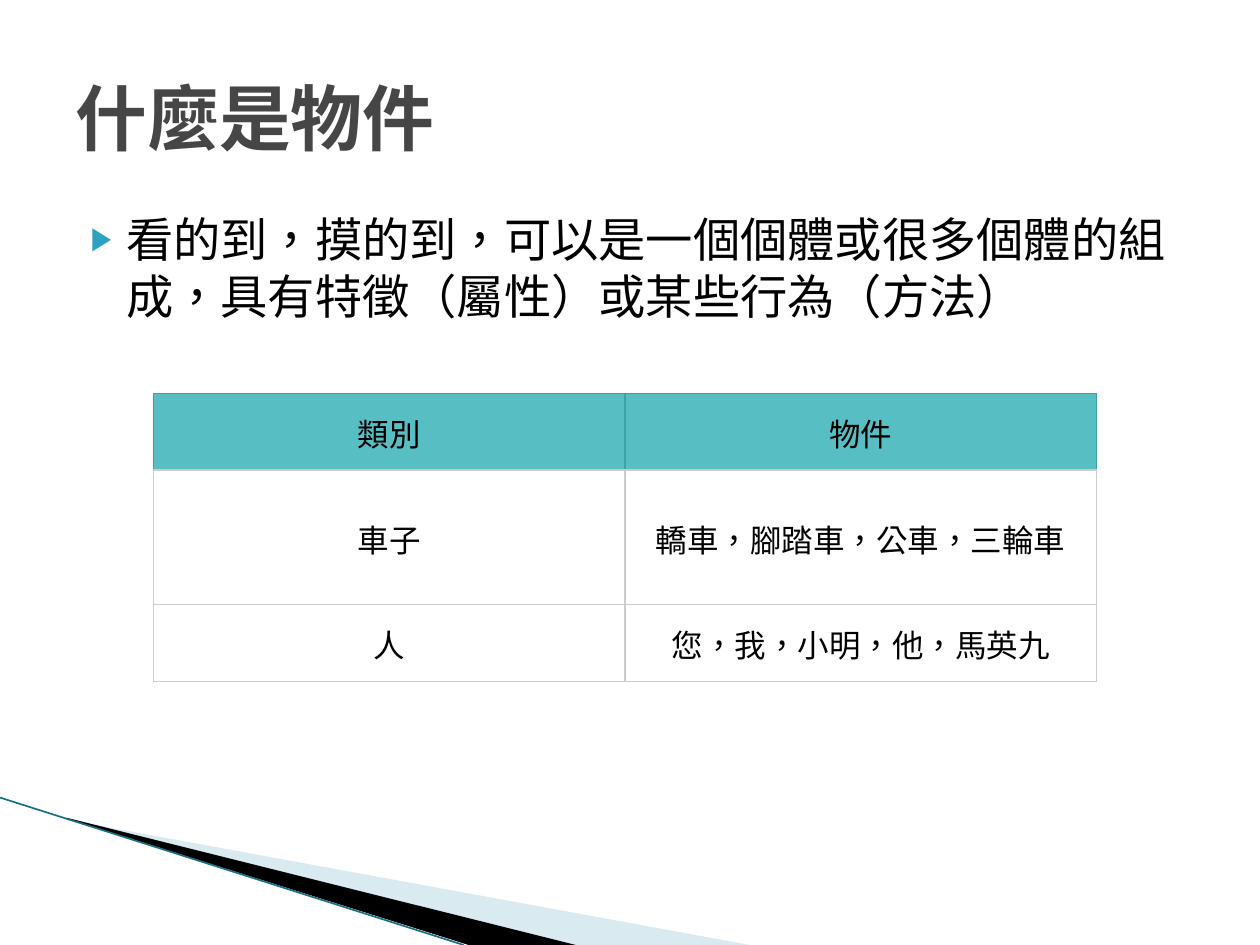
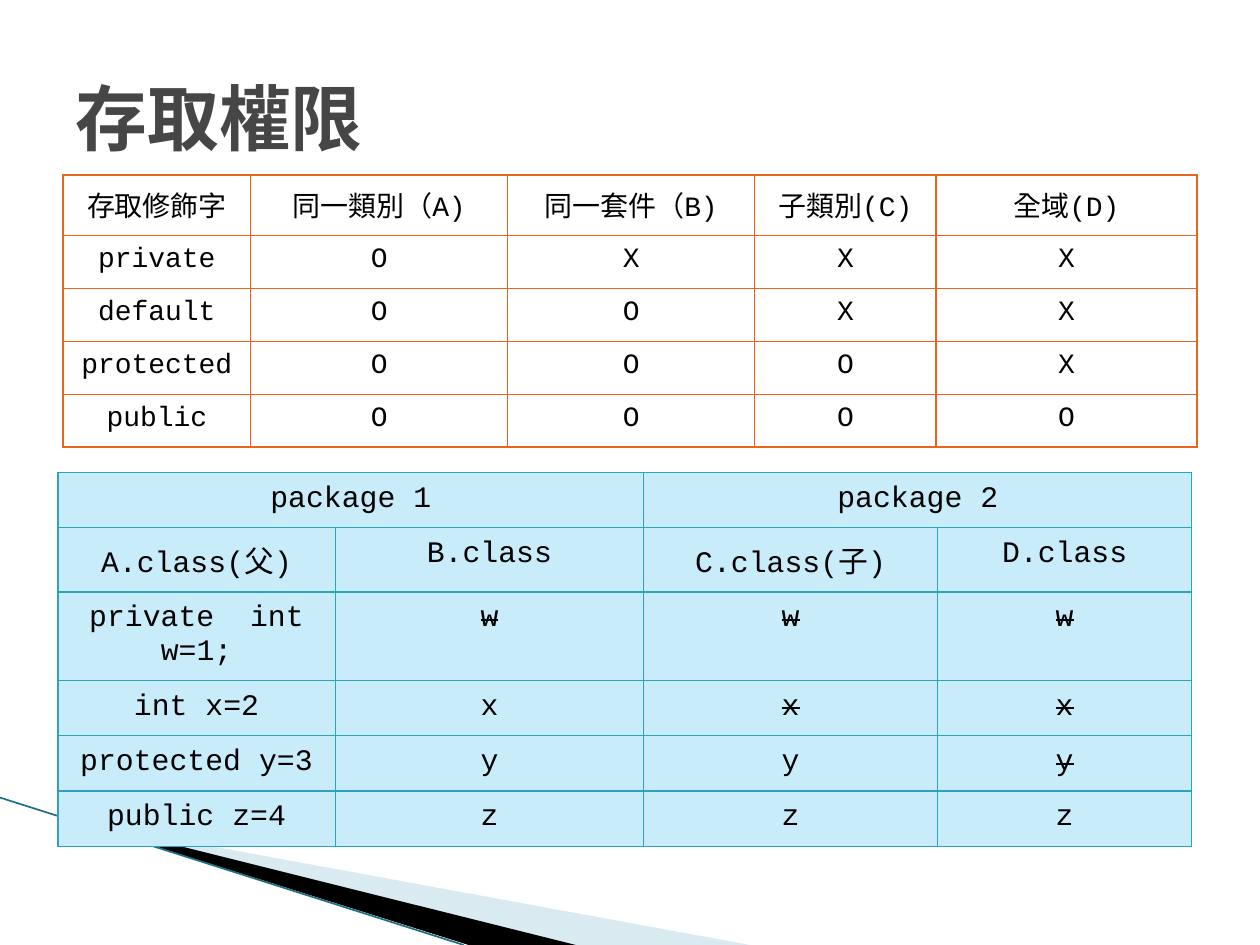
import pptx
import pptx.util
import pptx.dml.color
import pptx.enum.text
import pptx.oxml
import pptx.oxml.ns
from lxml import etree

Inches, Pt = pptx.util.Inches, pptx.util.Pt
ALIGN = pptx.enum.text.PP_ALIGN
ANCHOR = pptx.enum.text.MSO_ANCHOR
qn = pptx.oxml.ns.qn

FONT = "Courier New"
COLORS = {
    "title": "464646", "text": "000000", "bullet": "2DA2BF",
    "pale": "A0CBDC", "dark": "000000", "edge": "1B6F84",
    "head": "57BFC4", "rim": "3BA3A8", "grid": "CCCCCC",
    "orange": "EB641B", "aqua": "2DA2BF", "sky": "C9ECFA",
}

# A leading "~" strikes a cell's text out; None continues the cell to its left.
# "drop" is the extra space above cells with Chinese text.
SLIDES = [
    {
        "title": "什麼是物件",
        "body": "看的到，摸的到，可以是一個個體或很多個體的組成，具有特徵（屬性）或某些行為（方法）",
        "tables": [{
            "at": (1.22, 3.12), "cols": [3.74, 3.74], "rows": [0.61, 1.07, 0.61],
            "size": 18, "inset": (0.1, 0.05), "drop": 0.1, "anchor": ANCHOR.MIDDLE,
            "border": ("grid", 0.75), "fill": None, "head": ("head", "rim"),
            "cells": [
                ["類別", "物件"],
                ["車子", "轎車，腳踏車，公車，三輪車"],
                ["人", "您，我，小明，他，馬英九"],
            ],
        }],
    },
    {
        "title": "存取權限",
        "body": None,
        "tables": [{
            "at": (0.5, 1.39), "cols": [1.49, 2.04, 1.96, 1.44, 2.07],
            "rows": [0.48] + [0.42] * 4,
            "size": 16, "inset": (0.07, 0.07), "drop": 0.07, "anchor": ANCHOR.TOP,
            "border": ("orange", 1), "fill": None, "head": None,
            "cells": [
                ["存取修飾字", "同一類別（A)", "同一套件（B)", "子類別(C)", "全域(D)"],
                ["private", "O", "X", "X", "X"],
                ["default", "O", "O", "X", "X"],
                ["protected", "O", "O", "O", "X"],
                ["public", "O", "O", "O", "O"],
            ],
        }, {
            "at": (0.46, 3.75), "cols": [2.2, 2.45, 2.33, 2.02],
            "rows": [0.44, 0.5, 0.7] + [0.44] * 3,
            "size": 17, "inset": (0.08, 0.08), "drop": 0.08, "anchor": ANCHOR.TOP,
            "border": ("aqua", 0.75), "fill": "sky", "head": None,
            "cells": [
                ["package 1", None, "package 2", None],
                ["A.class(父)", "B.class", "C.class(子)", "D.class"],
                ["private  int w=1;", "~w", "~w", "~w"],
                ["int x=2", "x", "~x", "~x"],
                ["protected y=3", "y", "y", "~y"],
                ["public z=4", "z", "z", "z"],
            ],
        }],
    },
]

WEDGES = [
    ("pale", 40, [(0.55, 6.51), (5.95, 7.5), (4.56, 7.5), (0.55, 6.5)]),
    ("dark", 100, [(0.53, 6.49), (4.57, 7.5), (3.72, 7.5), (0.54, 6.5)]),
]
EDGE = [(0, 6.33), (3.68, 7.5)]


def rgb(name):
    return pptx.dml.color.RGBColor.from_string(COLORS[name])


def sub(node, tag, **attrs):
    return etree.SubElement(node, qn(tag), attrs)


def write(para, text, size, color="text", bold=False):
    run = para.add_run()
    run.text = text.lstrip("~")
    font = run.font
    font.size, font.name, font.bold = Pt(size), FONT, bold
    font.color.rgb = rgb(color)
    props = run._r.get_or_add_rPr()
    props.set("lang", "zh-TW")
    if text.startswith("~"):
        props.set("strike", "sngStrike")
    sub(props, "a:ea", typeface=FONT)


def place(shape, left, top, width, height):
    shape.left, shape.top = Inches(left), Inches(top)
    shape.width, shape.height = Inches(width), Inches(height)


def add_band(slide):
    """Draw the slanted wedges in the lower left corner."""
    for color, alpha, points in WEDGES:
        spots = [(Inches(x), Inches(y)) for x, y in points]
        form = slide.shapes.build_freeform(*spots[0])
        form.add_line_segments(spots[1:], close=True)
        wedge = form.convert_to_shape()
        wedge.shadow.inherit = False
        wedge.fill.solid()
        wedge.fill.fore_color.rgb = rgb(color)
        wedge.line.fill.background()
        if alpha < 100:
            tint = wedge._element.spPr.find(qn("a:solidFill"))[0]
            sub(tint, "a:alpha", val=str(alpha * 1000))
    ends = [Inches(v) for point in EDGE for v in point]
    edge = slide.shapes.add_connector(1, *ends)
    edge.line.color.rgb, edge.line.width = rgb("edge"), Pt(0.95)
    sub(edge._element.spPr, "a:effectLst")


def add_title(slide, text):
    title = slide.shapes.title
    place(title, 0.5, 0.3, 9, 1.25)
    frame = title.text_frame
    frame.auto_size = pptx.enum.text.MSO_AUTO_SIZE.NONE
    frame.vertical_anchor = ANCHOR.MIDDLE
    para = frame.paragraphs[0]
    para.alignment = ALIGN.LEFT
    write(para, text, 41, "title", True)


def add_body(slide, text):
    body = slide.placeholders[1]
    place(body, 0.5, 1.62, 9, 4.95)
    frame = body.text_frame
    frame.auto_size = pptx.enum.text.MSO_AUTO_SIZE.NONE
    para = frame.paragraphs[0]
    para.space_before = Pt(4)
    props = para._p.get_or_add_pPr()
    props.set("marL", str(Inches(0.4)))
    props.set("indent", str(Inches(-0.28)))
    tint = sub(props, "a:buClr")
    sub(tint, "a:srgbClr", val=COLORS["bullet"])
    sub(props, "a:buSzPct", val="68000")
    sub(props, "a:buChar", char="▶")
    write(para, text, 27)


def border(cell, sides, width):
    """Line a cell; sides gives the colours of left, right, top and bottom."""
    props = cell._tc.get_or_add_tcPr()
    for side, color in zip("LRTB", sides):
        line = sub(props, "a:ln" + side, w=str(Pt(width)))
        sub(sub(line, "a:solidFill"), "a:srgbClr", val=COLORS[color])


def pad(cell, text, inset, drop):
    wide = any("一" <= sign <= "龥" for sign in text or "")
    cell.margin_left = cell.margin_right = Inches(inset[0])
    cell.margin_top = Inches(inset[1] + drop * wide)
    cell.margin_bottom = Inches(inset[1])


def add_grid(slide, data):
    cols, rows = data["cols"], data["rows"]
    size = [Inches(v) for v in (*data["at"], sum(cols), sum(rows))]
    table = slide.shapes.add_table(len(rows), len(cols), *size).table
    table.first_row = table.horz_banding = False
    for col, width in zip(table.columns, cols):
        col.width = Inches(width)
    for row, height in zip(table.rows, rows):
        row.height = Inches(height)
    line, width = data["border"]
    for r, texts in enumerate(data["cells"]):
        for c, text in enumerate(texts):
            cell = table.cell(r, c)
            fill, sides = data["fill"], [line] * 4
            if r == 0 and data["head"]:
                fill, rim = data["head"]
                sides = [rim, rim, rim, line]
            border(cell, sides, width)
            if fill:
                cell.fill.solid()
                cell.fill.fore_color.rgb = rgb(fill)
            else:
                cell.fill.background()
            cell.vertical_anchor = data["anchor"]
            pad(cell, text, data["inset"], data["drop"])
            if text is None:
                table.cell(r, c - 1).merge(cell)
                continue
            para = cell.text_frame.paragraphs[0]
            para.alignment = ALIGN.CENTER
            write(para, text, data["size"])


def main():
    deck = pptx.Presentation()
    deck.slide_width, deck.slide_height = Inches(10), Inches(7.5)
    for data in SLIDES:
        layout = deck.slide_layouts[1 if data["body"] else 5]
        slide = deck.slides.add_slide(layout)
        add_band(slide)
        add_title(slide, data["title"])
        if data["body"]:
            add_body(slide, data["body"])
        for grid in data["tables"]:
            add_grid(slide, grid)
    deck.save("out.pptx")


if __name__ == "__main__":
    main()
